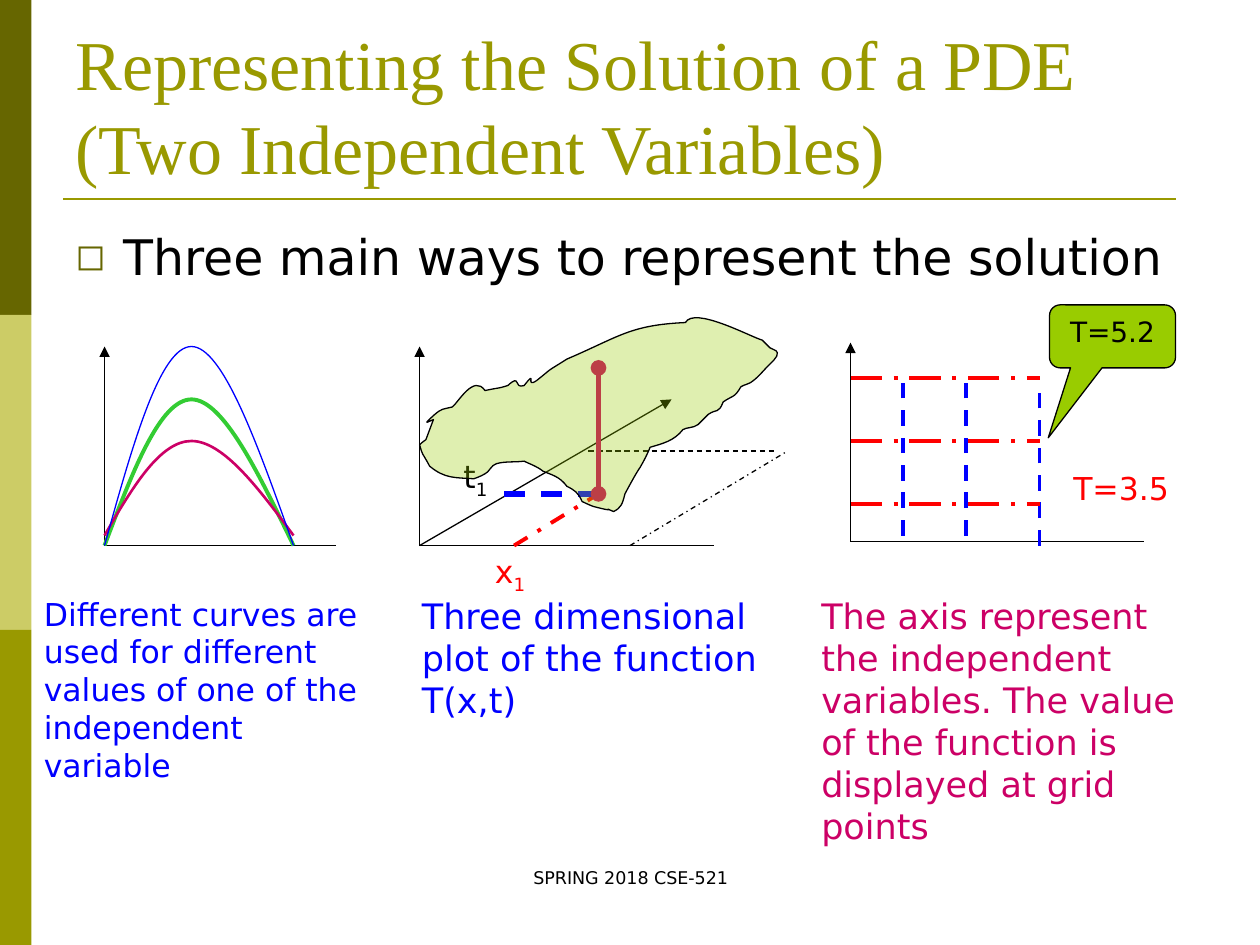
from pptx import Presentation
from pptx import util as u
from pptx.dml.color import RGBColor
from pptx.enum import dml, shapes, text
from pptx.oxml import ns
from lxml import etree

PX = 9144
BODY_FONT = "DejaVu Sans"
TITLE_FONT = "Times New Roman"
COLORS = {
    "dark": "666600", "olive": "999900", "pale": "CCCC66", "black": "000000",
    "red": "FF0000", "blue": "0000FF", "magenta": "CC0066",
    "green": "33CC33", "lime": "99CC00",
}
DASH = dml.MSO_LINE.DASH
DASH_DOT = dml.MSO_LINE.DASH_DOT
LONG_DASH_DOT = dml.MSO_LINE.LONG_DASH_DOT

SURFACE = [
    (44, 133), (39, 135), (35, 138), (45, 129), (51, 124), (51, 125), (59, 123),
    (64, 119), (76, 97), (85, 110), (99, 107), (93, 109), (103, 106),
    (114, 96), (107, 109), (116, 106), (127, 92), (116, 109), (126, 102),
    (141, 90), (131, 97), (150, 85), (192, 67), (200, 58), (244, 56),
    (251, 43), (295, 67), (305, 70), (307, 72), (309, 74), (311, 76),
    (313, 78), (316, 77), (317, 80), (318, 83), (311, 89), (310, 90),
    (307, 93), (302, 99), (298, 102), (295, 105), (291, 105), (288, 107),
    (283, 116), (281, 114), (274, 119), (270, 129), (269, 124), (262, 129),
    (259, 132), (256, 135), (254, 137), (250, 140), (245, 139), (242, 141),
    (235, 150), (226, 152), (216, 155), (213, 162), (212, 164), (208, 171),
    (205, 175), (196, 192), (196, 192), (194, 200), (193, 203), (187, 206),
    (175, 201), (194, 208), (171, 202), (168, 201), (162, 198), (162, 198),
    (159, 191), (156, 189), (150, 186), (144, 178), (138, 177), (131, 174),
    (126, 170), (122, 169), (116, 166), (109, 167), (101, 166), (94, 168),
    (90, 169), (88, 175), (85, 176), (82, 178), (76, 180), (76, 180),
    (61, 179), (53, 180), (41, 170), (34, 157), (36, 163), (33, 153),
    (35, 151), (38, 149), (38, 149),
]


def rgb(name):
    return RGBColor.from_string(COLORS[name])


def emu(*lengths):
    return [u.Emu(length * PX) for length in lengths]


def set_attributes(target, **values):
    for name, value in values.items():
        setattr(target, name, value)


def style_line(line, color, width, dash=None):
    line.color.rgb = rgb(color)
    line.width = u.Pt(width)
    if dash:
        line.dash_style = dash


def add_line(page, start, end, color="black", width=0.75, dash=None, head=None, tail=None):
    line = page.shapes.add_connector(shapes.MSO_CONNECTOR.STRAIGHT, *emu(*start, *end))
    style_line(line.line, color, width, dash)
    for tag, kind in (("a:headEnd", head), ("a:tailEnd", tail)):
        if kind:
            etree.SubElement(line.line._get_or_add_ln(), ns.qn(tag), type=kind)
    etree.SubElement(line._element.spPr, ns.qn("a:effectLst"))


def add_axes(page, left, base, width, height=158):
    add_line(page, (left, base), (left + width, base))
    add_line(page, (left, base), (left, base - height), tail="triangle")


def add_curve(page, left, top, points, color, width, closed=False):
    builder = page.shapes.build_freeform(*points[0], scale=PX)
    builder.add_line_segments(points[1:], close=closed)
    curve = builder.convert_to_shape(*emu(left, top))
    segments = list(curve._element.iter(ns.qn("a:lnTo")))
    for first in range(0, len(points) - 1, 3):
        group = segments[first:first + 3]
        bezier = etree.Element(ns.qn("a:cubicBezTo"))
        group[0].addprevious(bezier)
        for segment in group:
            bezier.append(segment[0])
            segment.getparent().remove(segment)
    curve.shadow.inherit = False
    curve.fill.background()
    style_line(curve.line, color, width)
    return curve


def write(para, words, size, color, font=BODY_FONT, baseline=None):
    span = para.add_run()
    span.text = words
    set_attributes(span.font, name=font, size=u.Pt(size))
    span.font.color.rgb = rgb(color)
    if baseline:
        span.font._element.set("baseline", str(baseline))


def add_text(page, box, words, size, color, subscript=None, align=text.PP_ALIGN.LEFT):
    frame = page.shapes.add_textbox(*emu(*box)).text_frame
    frame.word_wrap = True
    para = frame.paragraphs[0]
    para.alignment = align
    write(para, words, size, color)
    if subscript:
        write(para, subscript, size, color, baseline=-25000)
    return para


def add_side_band(page, left, top, width, height):
    for row, color in enumerate(("dark", "pale", "olive")):
        block = page.shapes.add_shape(
            shapes.MSO_SHAPE.RECTANGLE, *emu(left, top + row * height, width, height))
        block.shadow.inherit = False
        block.fill.solid()
        block.fill.fore_color.rgb = rgb(color)
        block.line.fill.background()


def add_title(page, left, top, width, height):
    title = page.shapes.title
    set_attributes(title, **dict(zip(("left", "top", "width", "height"),
                                     emu(left, top, width, height))))
    set_attributes(title.text_frame, word_wrap=True, auto_size=text.MSO_AUTO_SIZE.NONE,
                   vertical_anchor=text.MSO_ANCHOR.BOTTOM)
    para = title.text_frame.paragraphs[0]
    para.alignment = text.PP_ALIGN.LEFT
    first, second = "Representing the Solution of a PDE", "(Two Independent Variables)"
    write(para, first, 40, "olive", TITLE_FONT)
    para.add_line_break()
    write(para, second, 40, "olive", TITLE_FONT)
    add_line(page, (left, top + 128), (left + 883, top + 128), "olive", 1.5)


def add_bullet_text(page, box):
    para = add_text(page, box, "Three main ways to represent the solution", 28, "black")
    props = para._p.get_or_add_pPr()
    set_indent = {"marL": 38 * PX, "indent": -38 * PX}
    for name, value in set_indent.items():
        props.set(name, str(value))
    color = etree.SubElement(props, ns.qn("a:buClr"))
    etree.SubElement(color, ns.qn("a:srgbClr"), val=COLORS["dark"])
    etree.SubElement(props, ns.qn("a:buSzPct"), val="75000")
    etree.SubElement(props, ns.qn("a:buFont"), typeface=BODY_FONT)
    etree.SubElement(props, ns.qn("a:buChar"), char="◻")


def add_curves_plot(page, left, top):
    add_axes(page, left, top + 158, 184)
    for peak, foot, color, width in ((42, 158, "green", 2.25), (75, 150, "magenta", 1.5),
                                     (0, 158, "blue", 0.75)):
        middle = (peak + foot) / 2
        points = [(0, foot), (22, middle), (44, peak), (69, peak),
                  (94, peak), (122, middle), (150, foot)]
        add_curve(page, left, top, points, color, width)


def add_surface_plot(page, left, top):
    def at(x, y):
        return left + x, top + y

    origin, point = at(33, 233), at(175, 192)
    add_axes(page, *origin, 234)
    add_line(page, origin, at(233, 117), tail="triangle")
    add_line(page, at(167, 158), at(317, 158), dash=DASH)
    add_line(page, at(200, 233), at(325, 158), dash=DASH_DOT)
    add_line(page, at(108, 233), point, "red", 2.25, DASH_DOT)
    add_line(page, at(100, 192), point, "blue", 3, DASH)
    add_line(page, point, at(175, 92), "magenta", 3, head="oval", tail="oval")
    add_text(page, (*at(83, 233), 117, 40), "x", 18, "red", "1")
    add_text(page, (*at(58, 158), 117, 40), "t", 18, "black", "1")
    surface = add_curve(page, left, top, SURFACE, "black", 0.75, closed=True)
    surface.fill.solid()
    surface.fill.fore_color.rgb = rgb("lime")
    fill_color = surface._element.spPr.find(ns.qn("a:solidFill"))[0]
    etree.SubElement(fill_color, ns.qn("a:alpha"), val="31000")


def add_grid_plot(page, left, top):
    add_axes(page, left, top + 158, 233)
    for x, low, high in ((42, 153, 28), (92, 153, 28), (150, 161, 36)):
        add_line(page, (left + x, top + low), (left + x, top + high), "blue", 2.25, DASH)
    for y in (28, 78, 128):
        add_line(page, (left, top + y), (left + 150, top + y), "red", 2.25, LONG_DASH_DOT)
    add_text(page, (left + 167, top + 95, 117, 40), "T=3.5", 18, "red")
    callout = page.shapes.add_shape(
        shapes.MSO_SHAPE.ROUNDED_RECTANGULAR_CALLOUT, *emu(left + 158, top - 30, 100, 50))
    for index, value in enumerate((-0.51, 1.61, 0.17)):
        callout.adjustments[index] = value
    callout.shadow.inherit = False
    callout.fill.solid()
    callout.fill.fore_color.rgb = rgb("lime")
    style_line(callout.line, "black", 0.75)
    callout.text_frame.vertical_anchor = text.MSO_ANCHOR.TOP
    para = callout.text_frame.paragraphs[0]
    para.alignment = text.PP_ALIGN.CENTER
    write(para, "T=5.2", 16, "black")


def main():
    deck = Presentation()
    deck.slide_width, deck.slide_height = emu(1000, 750)
    page = deck.slides.add_slide(deck.slide_layouts[5])
    add_side_band(page, 0, 0, 25, 250)
    add_title(page, 50, 30, 900, 125)
    add_bullet_text(page, (50, 175, 900, 83))
    add_curves_plot(page, 83, 275)
    add_surface_plot(page, 300, 200)
    add_grid_plot(page, 675, 272)
    for box, words, size, color in (
        ((25, 467, 283, 160), "Different curves are used for different values of one of "
         "the independent variable", 18, "blue"),
        ((325, 467, 308, 110), "Three dimensional plot of the function T(x,t)", 20, "blue"),
        ((642, 467, 333, 210), "The axis represent the independent variables. The value of "
         "the function is displayed at grid points", 20, "magenta"),
    ):
        add_text(page, box, words, size, color)
    add_text(page, (342, 683, 317, 50), "SPRING 2018 CSE-521", 10, "black",
             align=text.PP_ALIGN.CENTER)
    deck.save("out.pptx")


if __name__ == "__main__":
    main()
